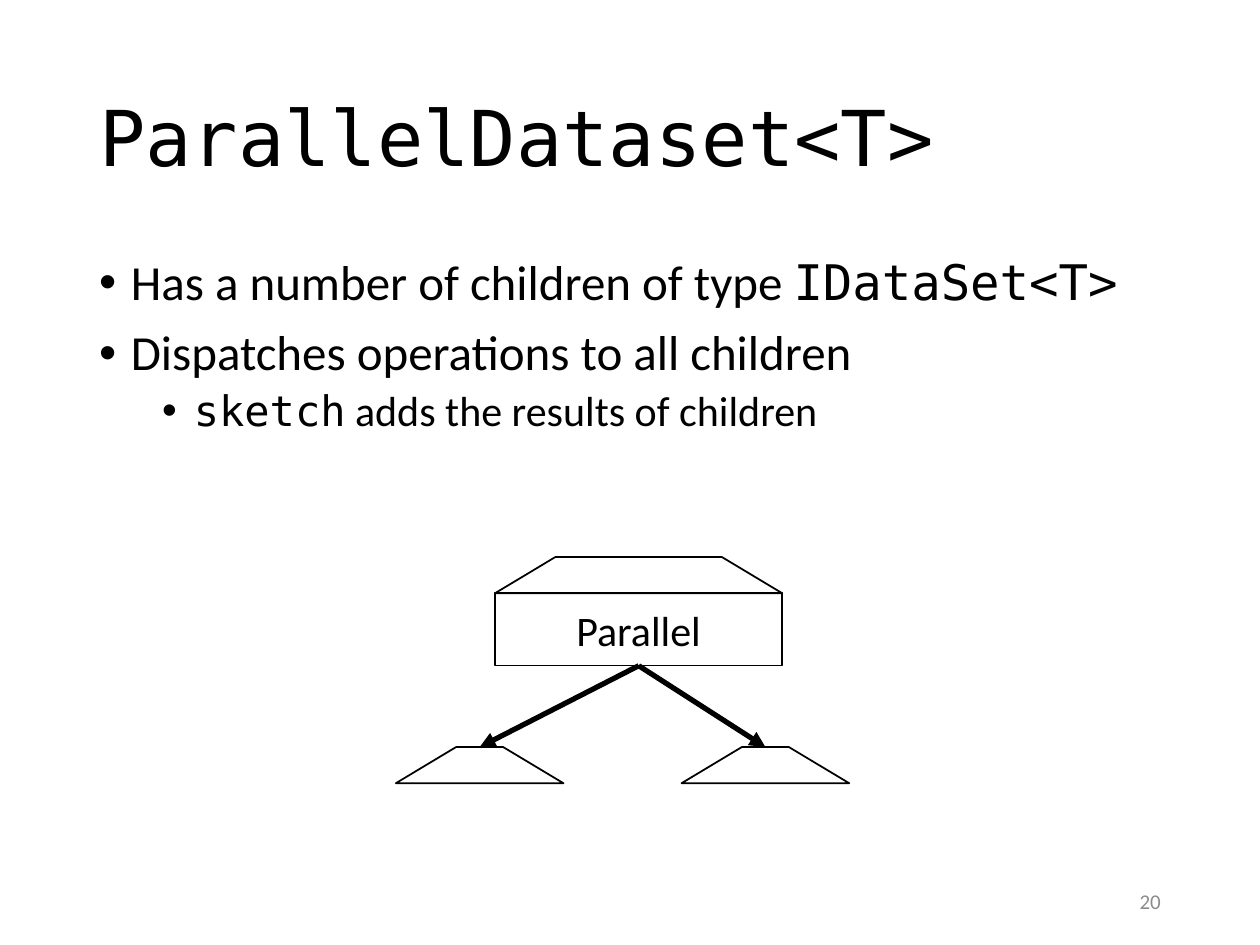
from lxml import etree
from pptx import Presentation
from pptx.dml.color import RGBColor
from pptx.enum import shapes, text
from pptx.oxml import ns
from pptx.util import Cm, Pt

BLACK = RGBColor(0x00, 0x00, 0x00)
GRAY = RGBColor(0x8C, 0x8C, 0x8C)
SANS = "Calibri"
MONO = "DejaVu Sans Mono"

# Each bullet: level, size, space before, spans of (words, font)
BULLETS = [
    (0, 28, 0, [("Has a number of children of type ", SANS), ("IDataSet<T>", MONO)]),
    (0, 28, 10, [("Dispatches operations to all children", SANS)]),
    (1, 24, 5, [("sketch", MONO), (" adds the results of children", SANS)]),
]

ROOF_HEIGHT = Cm(0.73)
ROOF_SLOPE = 1.667
CHILD_TOP = Cm(15.06)
CHILD_WIDTH = Cm(3.38)
CHILD_LEFTS = [Cm(7.98), Cm(13.74)]
PARENT_LEFT, PARENT_TOP, PARENT_WIDTH = Cm(9.98), Cm(11.23), Cm(5.79)


def add_span(para, words, font, size, color=BLACK):
    span = para.add_run()
    span.text = words
    span.font.name = font
    span.font.size = Pt(size)
    span.font.color.rgb = color


def add_text_box(page, left, top, width, height, anchor=text.MSO_ANCHOR.MIDDLE):
    frame = page.shapes.add_textbox(left, top, width, height).text_frame
    frame.word_wrap = True
    frame.vertical_anchor = anchor
    return frame


def add_bullet(para, level, size, space, spans):
    para.level = level
    para.line_spacing = 0.9
    para.space_before = Pt(space)
    properties = para._p.get_or_add_pPr()
    properties.set("marL", str(Cm(0.64 + 1.27 * level)))
    properties.set("indent", str(-Cm(0.64)))
    etree.SubElement(properties, ns.qn("a:buFont")).set("typeface", "Arial")
    etree.SubElement(properties, ns.qn("a:buChar")).set("char", "•")
    for words, font in spans:
        add_span(para, words, font, size)


def add_outline(page, kind, left, top, width, height):
    shape = page.shapes.add_shape(kind, left, top, width, height)
    shape.shadow.inherit = False
    shape.fill.background()
    shape.line.color.rgb = BLACK
    shape.line.width = Pt(1)
    return shape


def add_roof(page, left, top, width):
    roof = add_outline(page, shapes.MSO_SHAPE.TRAPEZOID, left, top, width, ROOF_HEIGHT)
    roof.adjustments[0] = ROOF_SLOPE
    return roof


def add_arrow(page, parent, child):
    arrow = page.shapes.add_connector(shapes.MSO_CONNECTOR.STRAIGHT, 0, 0, 0, 0)
    arrow.begin_connect(parent, 2)
    arrow.end_connect(child, 0)
    arrow.line.color.rgb = BLACK
    arrow.line.width = Pt(3)
    etree.SubElement(arrow.line._get_or_add_ln(), ns.qn("a:tailEnd")).set("type", "triangle")
    etree.SubElement(arrow._element.spPr, ns.qn("a:effectLst"))


def add_tree(page):
    children = [add_roof(page, left, CHILD_TOP, CHILD_WIDTH) for left in CHILD_LEFTS]
    add_roof(page, PARENT_LEFT, PARENT_TOP, PARENT_WIDTH)
    parent = add_outline(page, shapes.MSO_SHAPE.RECTANGLE, PARENT_LEFT,
                         PARENT_TOP + ROOF_HEIGHT, PARENT_WIDTH, Cm(1.46))
    frame = parent.text_frame
    frame.word_wrap = False
    frame.vertical_anchor = text.MSO_ANCHOR.MIDDLE
    para = frame.paragraphs[0]
    para.alignment = text.PP_ALIGN.CENTER
    add_span(para, "Parallel", SANS, 24)
    for child in children:
        add_arrow(page, parent, child)


def main():
    deck = Presentation()
    deck.slide_width, deck.slide_height = Cm(25.4), Cm(19.05)
    page = deck.slides.add_slide(deck.slide_layouts[6])

    # Title
    title = add_text_box(page, Cm(1.75), Cm(1.02), Cm(21.9), Cm(3.68)).paragraphs[0]
    title.line_spacing = 0.9
    add_span(title, "ParallelDataset<T>", MONO, 44)

    # Bullets
    body = add_text_box(page, Cm(1.75), Cm(5.08), Cm(22.38), Cm(5.26), text.MSO_ANCHOR.TOP)
    for index, bullet in enumerate(BULLETS):
        para = body.add_paragraph() if index else body.paragraphs[0]
        add_bullet(para, *bullet)

    # Parent with its two children
    add_tree(page)

    # Page number
    number = add_text_box(page, Cm(17.93), Cm(17.65), Cm(5.72), Cm(1.02)).paragraphs[0]
    number.alignment = text.PP_ALIGN.RIGHT
    add_span(number, "20", SANS, 12, GRAY)

    deck.save("out.pptx")


if __name__ == "__main__":
    main()
